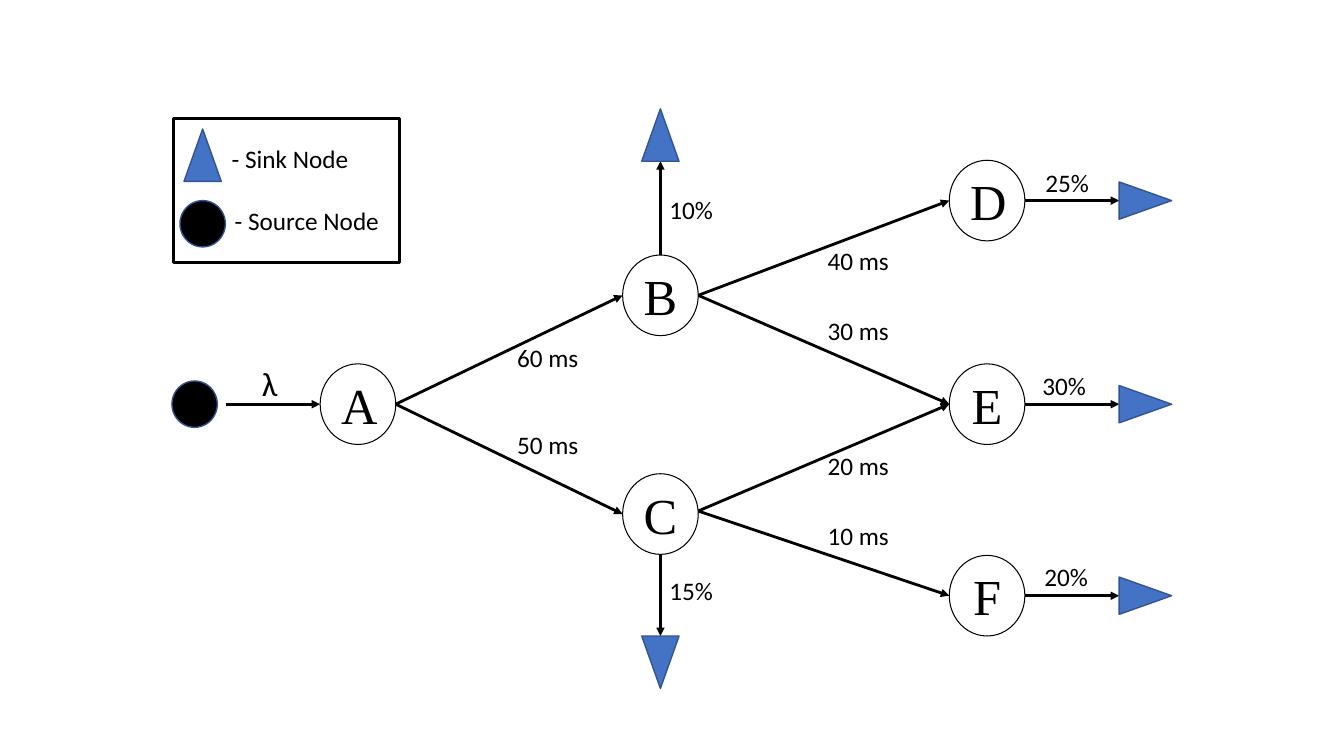
"""Draw a queueing network with its source, sinks, delays and legend."""
from dataclasses import dataclass

from lxml import etree
from pptx import Presentation
from pptx import util as u
from pptx.dml.color import RGBColor
from pptx.enum import shapes, text
from pptx.oxml.ns import qn


@dataclass(frozen=True)
class Theme:
    """Colours, fonts, type sizes and line widths of the diagram."""
    ink: str = "000000"
    paper: str = "FFFFFF"
    sink: str = "4472C4"
    edge: str = "325491"
    label_font: str = "Calibri"
    node_font: str = "Times New Roman"
    label_size: float = 18
    rate_size: float = 24
    node_size: float = 36
    thin: float = 0.75
    outline: float = 1
    arrow: float = 2
    frame: float = 2.25


THEME = Theme()
CELL = u.Inches(1)
COLUMNS, ROWS = 13.33, 7.5
NODE = (0.75, 0.8)
SINK = (0.37, 0.52)
SOURCE = (0.45, 0.46)
TURNS = {(0, -1): 0, (1, 0): 90, (0, 1): 180}

NODES = {"A": (3.55, 4.01), "B": (6.55, 2.93), "C": (6.55, 5.1),
         "D": (9.79, 1.99), "E": (9.79, 4.01), "F": (9.79, 5.91)}
LINKS = [("A", "B", 0, "60 ms", (5.03, 3.35)),
         ("A", "C", 0, "50 ms", (5.03, 4.21)),
         ("B", "D", 0, "40 ms", (8.11, 2.38)),
         ("B", "E", 0, "30 ms", (8.11, 3.08)),
         ("C", "E", 0.03, "20 ms", (8.11, 4.42)),
         ("C", "F", 0.03, "10 ms", (8.11, 5.11))]
EXITS = [("B", (0, -1), 1.59, "10%", (6.54, 1.88)),
         ("C", (0, 1), 1.47, "15%", (6.54, 5.66)),
         ("D", (1, 0), 1.57, "25%", (10.27, 1.61)),
         ("E", (1, 0), 1.57, "30%", (10.24, 3.62)),
         ("F", (1, 0), 1.57, "20%", (10.26, 5.52))]


def cells(*counts):
    """Turn counts of grid cells into slide lengths."""
    return [round(count * CELL) for count in counts]


def add_run(paragraph, words, size, font):
    """Add one styled run to a paragraph."""
    run = paragraph.add_run()
    run.text = words
    run.font.size = u.Pt(size)
    run.font.name = font
    run.font.color.rgb = RGBColor.from_string(THEME.ink)


def add_figure(slide, kind, centre, size, fill, line, width):
    """Add a preset shape around its centre."""
    left, top = (middle - length / 2 for middle, length in zip(centre, size))
    shape = slide.shapes.add_shape(kind, *cells(left, top, *size))
    shape.shadow.inherit = False
    if fill:
        shape.fill.solid()
        shape.fill.fore_color.rgb = RGBColor.from_string(fill)
    else:
        shape.fill.background()
    shape.line.color.rgb = RGBColor.from_string(line)
    shape.line.width = u.Pt(width)
    return shape


def add_node(slide, name, centre):
    """Add a lettered service node."""
    shape = add_figure(slide, shapes.MSO_SHAPE.OVAL, centre, NODE,
                       THEME.paper, THEME.ink, THEME.thin)
    shape.text_frame.vertical_anchor = text.MSO_ANCHOR.MIDDLE
    paragraph = shape.text_frame.paragraphs[0]
    paragraph.alignment = text.PP_ALIGN.CENTER
    add_run(paragraph, name, THEME.node_size, THEME.node_font)


def add_sink(slide, centre, turn=0):
    """Add a sink triangle turned clockwise."""
    shape = add_figure(slide, shapes.MSO_SHAPE.ISOSCELES_TRIANGLE, centre, SINK,
                       THEME.sink, THEME.edge, THEME.outline)
    shape.rotation = turn


def add_source(slide, centre):
    """Add a source disc."""
    add_figure(slide, shapes.MSO_SHAPE.OVAL, centre, SOURCE,
               THEME.ink, THEME.edge, THEME.outline)


def add_arrow(slide, start, end):
    """Add a straight arrow between two grid points."""
    arrow = slide.shapes.add_connector(
        shapes.MSO_CONNECTOR.STRAIGHT, *cells(*start, *end))
    arrow.line.color.rgb = RGBColor.from_string(THEME.ink)
    arrow.line.width = u.Pt(THEME.arrow)
    etree.SubElement(arrow.line._get_or_add_ln(), qn("a:tailEnd"), type="triangle")
    etree.SubElement(arrow._element.spPr, qn("a:effectLst"))


def add_label(slide, words, corner, width=0.82, height=0.4, size=THEME.label_size):
    """Add a text label from its top left corner."""
    frame = slide.shapes.add_textbox(*cells(*corner, width, height)).text_frame
    frame.word_wrap = True
    frame.auto_size = text.MSO_AUTO_SIZE.SHAPE_TO_FIT_TEXT
    add_run(frame.paragraphs[0], words, size, THEME.label_font)


def add_link(slide, origin, target, lift, delay, corner):
    """Join the facing sides of two nodes and label the delay."""
    (start, start_row), (end, end_row) = NODES[origin], NODES[target]
    add_arrow(slide, (start + NODE[0] / 2, start_row - lift),
              (end - NODE[0] / 2, end_row))
    add_label(slide, delay, corner)


def add_exit(slide, name, direction, reach, share, corner):
    """Lead a node to its sink and label the share that leaves."""
    def along(distance):
        """Find the point at a distance from the node's centre."""
        return [c + d * distance for c, d in zip(NODES[name], direction)]

    radius = NODE[0 if direction[0] else 1] / 2
    add_arrow(slide, along(radius), along(reach - SINK[1] / 2))
    add_sink(slide, along(reach), TURNS[direction])
    add_label(slide, share, corner, width=0.75)


def add_arrivals(slide):
    """Add the source that feeds the first node."""
    column, row = NODES["A"]
    add_source(slide, (1.93, row))
    add_arrow(slide, (2.24, row), (column - NODE[0] / 2, row))
    add_label(slide, "λ", (2.5, 3.55), 0.4, 0.5, THEME.rate_size)


def add_legend(slide):
    """Add the framed key to sinks and sources."""
    add_figure(slide, shapes.MSO_SHAPE.RECTANGLE, (2.84, 1.89), (2.24, 1.43),
               None, THEME.ink, THEME.frame)
    add_sink(slide, (2.01, 1.54))
    add_label(slide, "- Sink Node", (2.2, 1.37), width=1.42)
    add_source(slide, (2.01, 2.22))
    add_label(slide, "- Source Node", (2.23, 1.99), width=1.7)


def main():
    """Build the slide and save it."""
    presentation = Presentation()
    presentation.slide_width, presentation.slide_height = cells(COLUMNS, ROWS)
    slide = presentation.slides.add_slide(presentation.slide_layouts[6])
    for link in LINKS:
        add_link(slide, *link)
    for name, centre in NODES.items():
        add_node(slide, name, centre)
    for way_out in EXITS:
        add_exit(slide, *way_out)
    add_arrivals(slide)
    add_legend(slide)
    presentation.save("out.pptx")


main()
